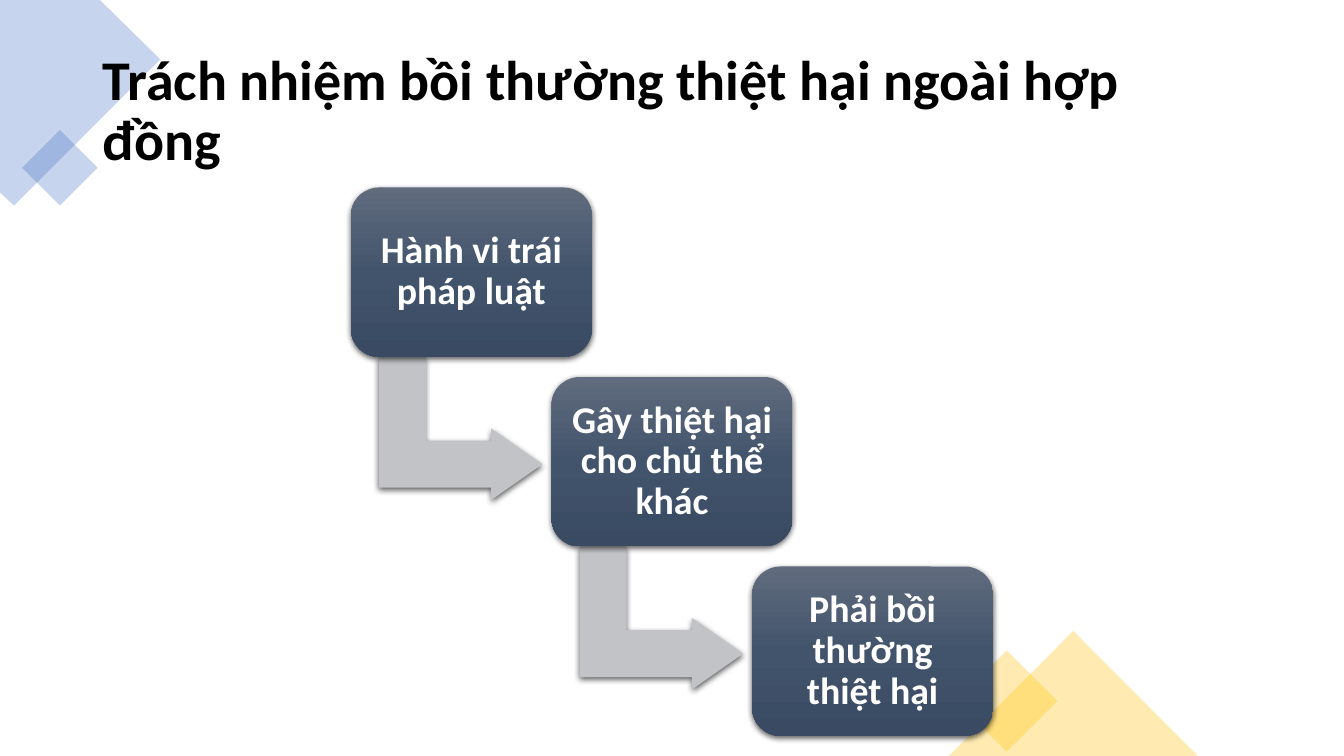
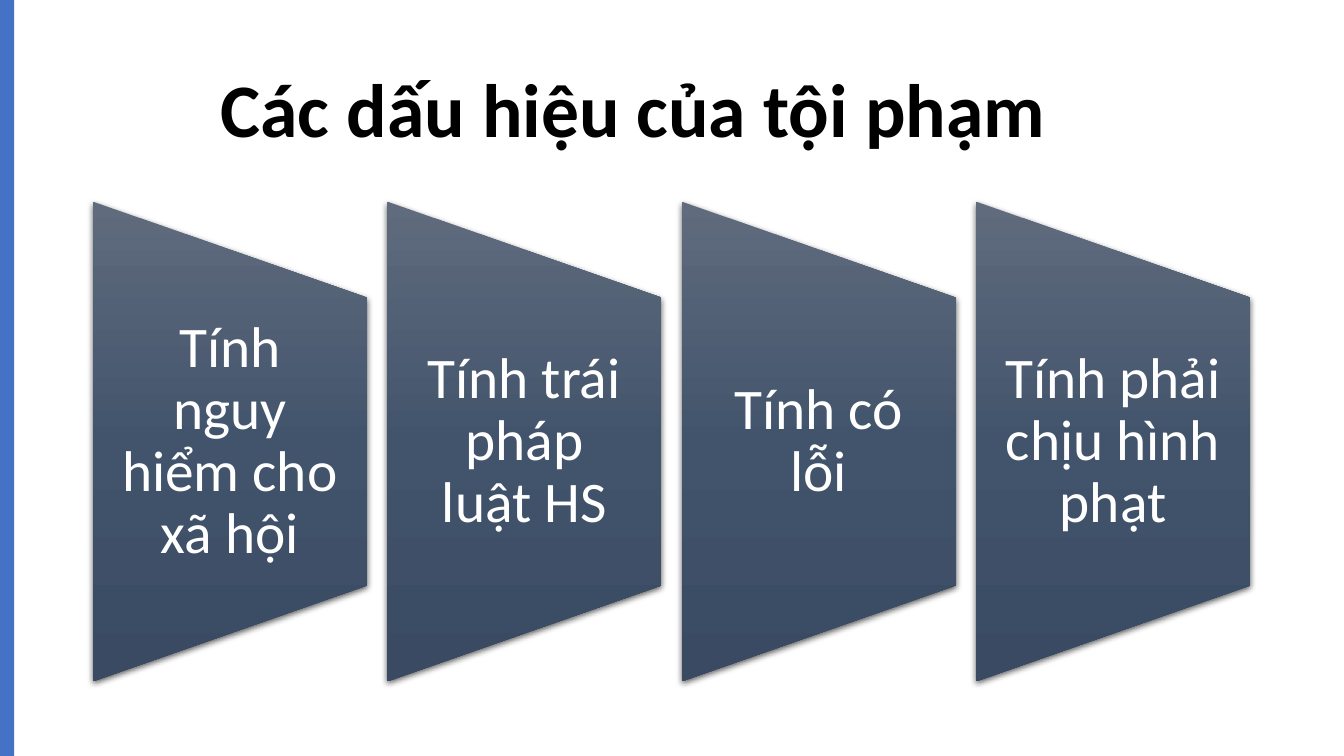
from dataclasses import dataclass

from pptx import Presentation
from pptx import util as u
from pptx.dml.color import RGBColor
from pptx.enum import shapes, text
from pptx.oxml import parse_xml
from pptx.oxml.ns import nsdecls, qn

PX = 9144  # EMU per px, 100 px to the inch
SLIDE_W, SLIDE_H = 1333, 750
FONT = "Calibri"

BLUE = RGBColor(0x44, 0x72, 0xC4)
GOLD = RGBColor(0xFF, 0xC0, 0x00)
BLACK = RGBColor(0x00, 0x00, 0x00)
WHITE = RGBColor(0xFF, 0xFF, 0xFF)
ARROW_GREY = RGBColor(0xC1, 0xC3, 0xC7)
SLATE_STOPS = (
    (0, RGBColor(0x60, 0x6B, 0x7D)),
    (50, RGBColor(0x42, 0x54, 0x6C)),
    (100, RGBColor(0x39, 0x4A, 0x62)),
)

STEPS = (
    "Hành vi trái pháp luật",
    "Gây thiệt hại cho chủ thể khác",
    "Phải bồi thường thiệt hại",
)
SIGNS = (
    "Tính nguy hiểm cho xã hội",
    "Tính trái pháp luật HS",
    "Tính có lỗi",
    "Tính phải chịu hình phạt",
)
CORNER_POINTS = ((0, 0), (99, 0), (159, 59), (14, 204), (0, 191))


@dataclass(frozen=True)
class Box:
    x: int
    y: int
    w: int
    h: int

    def shifted(self, dx: int, dy: int = 0) -> "Box":
        return Box(self.x + dx, self.y + dy, self.w, self.h)

    def emu(self) -> tuple[int, ...]:
        return tuple(v * PX for v in (self.x, self.y, self.w, self.h))


@dataclass(frozen=True)
class Decor:
    kind: shapes.MSO_SHAPE
    box: Box
    color: RGBColor
    rotation: int = 0


CORNER_DECOR = (
    Decor(shapes.MSO_SHAPE.RECTANGLE, Box(33, 140, 53, 53), BLUE, 45),
    Decor(shapes.MSO_SHAPE.RECTANGLE, Box(963, 660, 71, 71), GOLD, 45),
    Decor(shapes.MSO_SHAPE.ISOSCELES_TRIANGLE, Box(941, 626, 247, 124), GOLD),
)

STEP_BOX = Box(348, 186, 239, 168)
STEP_DX, STEP_DY = 199, 188
ARROW_BOX = Box(386, 344, 142, 162)

SIGN_TEXT = Box(92, 295, 272, 286)
SIGN_SHAPE = Box(-10, 302, 476, 272)
SIGN_PITCH = 292


def paint(sp, color: RGBColor, alpha: int = 100) -> None:
    """Solid fill with opacity in percent, no outline and no shadow."""
    sp.fill.solid()
    sp.fill.fore_color.rgb = color
    if alpha < 100:
        clr = sp._element.spPr.find(qn("a:solidFill"))[0]
        clr.append(parse_xml(f'<a:alpha {nsdecls("a")} val="{alpha * 1000}"/>'))
    sp.line.fill.background()
    sp.shadow.inherit = False


def paint_slate(sp) -> None:
    """Vertical gradient that stays upright when the shape is rotated."""
    paint(sp, SLATE_STOPS[0][1])
    stops = "".join(
        f'<a:gs pos="{pos * 1000}"><a:srgbClr val="{color}"/></a:gs>'
        for pos, color in SLATE_STOPS
    )
    sp_pr = sp._element.spPr
    sp_pr.replace(sp_pr.find(qn("a:solidFill")), parse_xml(
        f'<a:gradFill {nsdecls("a")} rotWithShape="0"><a:gsLst>{stops}</a:gsLst>'
        '<a:lin ang="5400000" scaled="0"/></a:gradFill>'
    ))


def add_shadow(sp) -> None:
    sp._element.spPr.find(qn("a:effectLst")).append(parse_xml(
        f'<a:outerShdw {nsdecls("a")} blurRad="{u.Pt(4.5)}" dist="{u.Pt(1.5)}" '
        'dir="5400000" algn="ctr" rotWithShape="0">'
        '<a:srgbClr val="000000"><a:alpha val="63000"/></a:srgbClr></a:outerShdw>'
    ))


def add_preset(slide, kind: shapes.MSO_SHAPE, box: Box, rotation: int = 0,
               adjustments: tuple[float, ...] = ()):
    sp = slide.shapes.add_shape(kind, *box.emu())
    sp.rotation = rotation
    for i, value in enumerate(adjustments):
        sp.adjustments[i] = value
    return sp


def write(sp, content: str, *, size: int, color: RGBColor = WHITE,
          bold: bool = False, align=text.PP_ALIGN.CENTER,
          inset_x: int = 10, inset_y: int = 5) -> None:
    tf = sp.text_frame
    tf.word_wrap = True
    tf.vertical_anchor = text.MSO_ANCHOR.MIDDLE
    tf.margin_left = tf.margin_right = inset_x * PX
    tf.margin_top = tf.margin_bottom = inset_y * PX
    p = tf.paragraphs[0]
    p.alignment = align
    p.line_spacing = 0.9
    r = p.add_run()
    r.text = content
    r.font.name = FONT
    r.font.size = u.Pt(size)
    r.font.bold = bold
    r.font.color.rgb = color


def add_title(slide, content: str, box: Box, size: int) -> None:
    write(slide.shapes.add_textbox(*box.emu()), content, size=size,
          color=BLACK, bold=True, align=text.PP_ALIGN.LEFT)


def add_corner_decor(slide) -> None:
    builder = slide.shapes.build_freeform(*CORNER_POINTS[0], scale=PX)
    builder.add_line_segments(CORNER_POINTS[1:], close=True)
    paint(builder.convert_to_shape(), BLUE, alpha=30)
    for d in CORNER_DECOR:
        paint(add_preset(slide, d.kind, d.box, d.rotation), d.color, alpha=30)


def add_step(slide, index: int, label: str) -> None:
    """One stair of the cascade, with an arrow to the next one if any."""
    dx, dy = index * STEP_DX, index * STEP_DY
    if index < len(STEPS) - 1:
        arrow = add_preset(slide, shapes.MSO_SHAPE.BENT_UP_ARROW,
                           ARROW_BOX.shifted(dx, dy), 90, (0.328, 0.25, 0.358))
        paint(arrow, ARROW_GREY)
        add_shadow(arrow)
    card = add_preset(slide, shapes.MSO_SHAPE.ROUNDED_RECTANGLE,
                      STEP_BOX.shifted(dx, dy), adjustments=(0.167,))
    paint_slate(card)
    add_shadow(card)
    write(card, label, size=27, bold=True, inset_x=11, inset_y=11)


def add_sign(slide, index: int, label: str) -> None:
    dx = index * SIGN_PITCH
    panel = add_preset(slide, shapes.MSO_SHAPE.FLOWCHART_MANUAL_OPERATION,
                       SIGN_SHAPE.shifted(dx), 270)
    paint_slate(panel)
    add_shadow(panel)
    caption = slide.shapes.add_textbox(*SIGN_TEXT.shifted(dx).emu())
    write(caption, label, size=41, inset_x=28, inset_y=0)


def build_liability_slide(slide) -> None:
    add_corner_decor(slide)
    add_title(slide, "Trách nhiệm bồi thường thiệt hại ngoài hợp đồng",
              Box(92, 40, 1150, 143), 40)
    for i, label in enumerate(STEPS):
        add_step(slide, i, label)


def build_crime_slide(slide) -> None:
    add_title(slide, "Các dấu hiệu của tội phạm", Box(209, 40, 1032, 145), 54)
    band = add_preset(slide, shapes.MSO_SHAPE.RECTANGLE, Box(0, 0, 14, SLIDE_H))
    paint(band, BLUE)
    for i, label in enumerate(SIGNS):
        add_sign(slide, i, label)


def main() -> None:
    prs = Presentation()
    prs.slide_width, prs.slide_height = SLIDE_W * PX, SLIDE_H * PX
    blank = prs.slide_layouts[6]
    for build in (build_liability_slide, build_crime_slide):
        build(prs.slides.add_slide(blank))
    prs.save("out.pptx")


if __name__ == "__main__":
    main()
